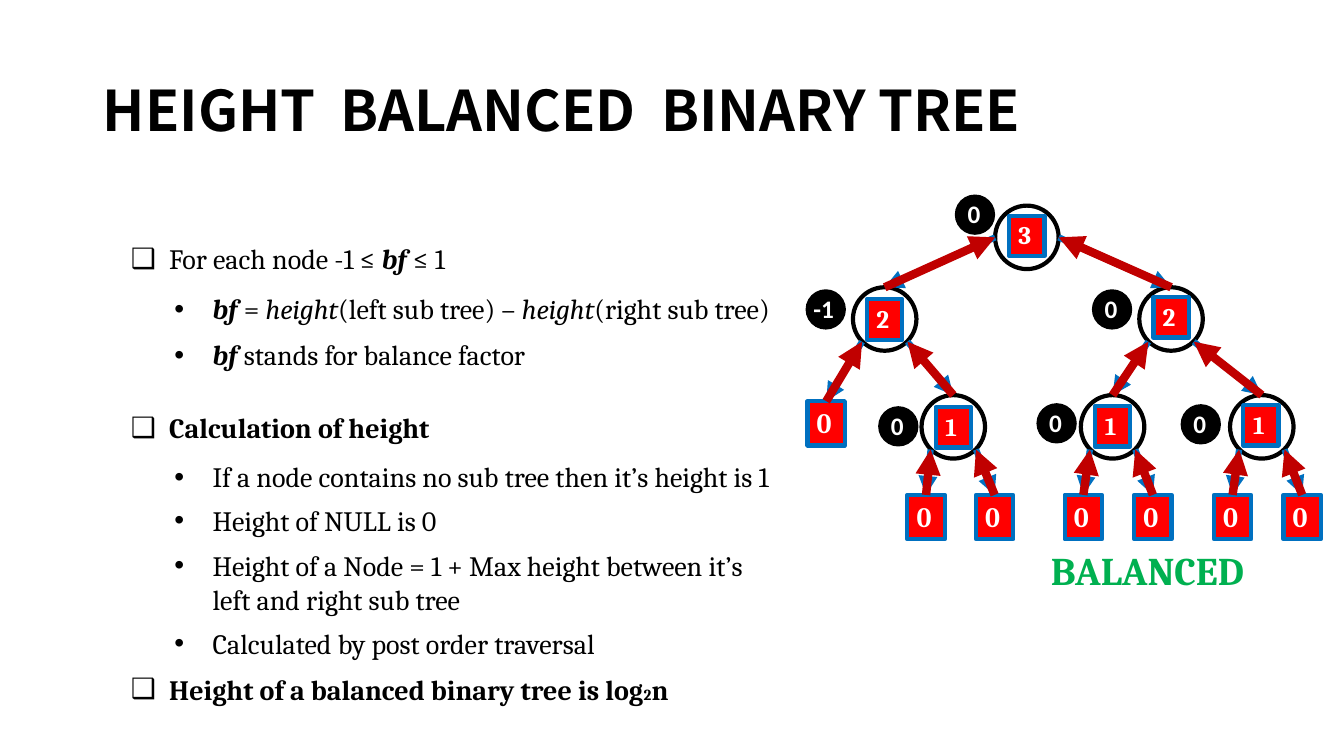
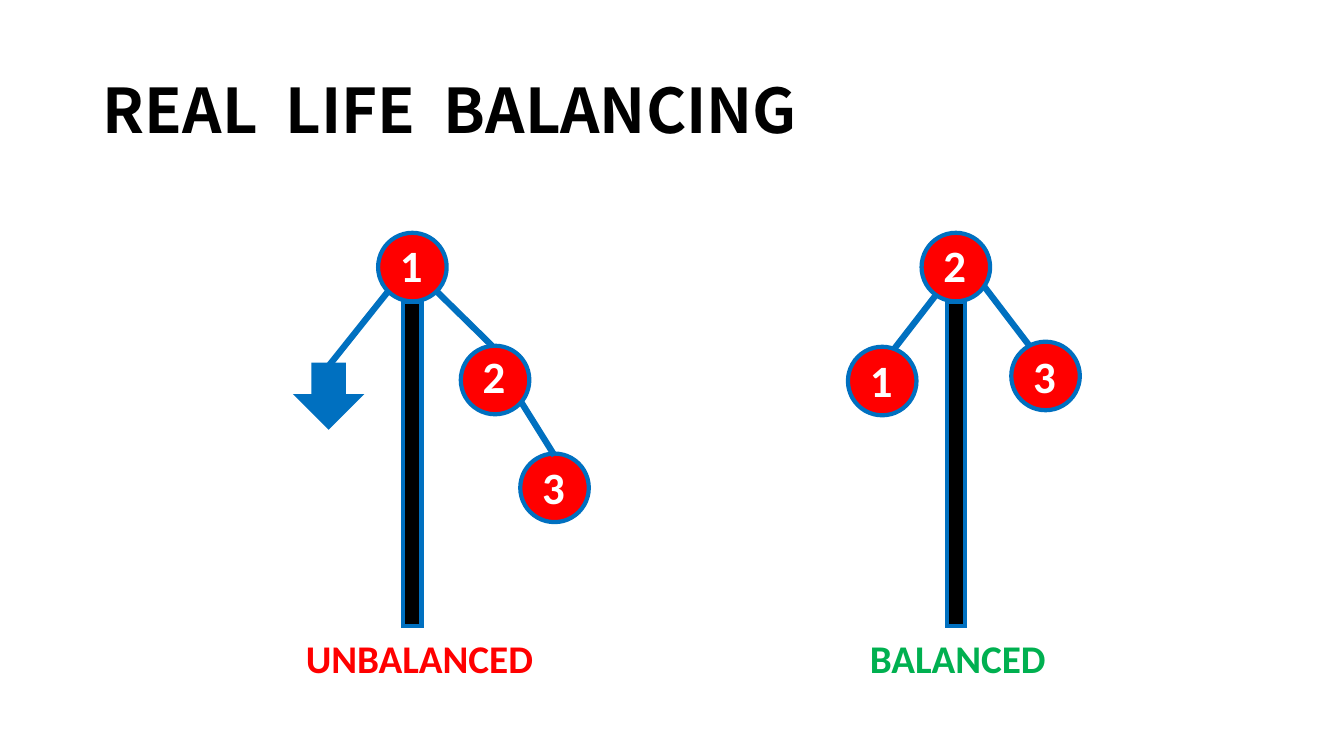
from dataclasses import dataclass

from lxml import etree
from pptx import Presentation
from pptx.dml.color import RGBColor
from pptx.enum.shapes import MSO_CONNECTOR, MSO_SHAPE
from pptx.enum.text import MSO_ANCHOR, PP_ALIGN
from pptx.oxml.ns import qn
from pptx.util import Inches, Pt

STRAIGHT = MSO_CONNECTOR.STRAIGHT
OVAL, RECT, DOWN_ARROW = MSO_SHAPE.OVAL, MSO_SHAPE.RECTANGLE, MSO_SHAPE.DOWN_ARROW
LEFT, CENTER, MIDDLE = PP_ALIGN.LEFT, PP_ALIGN.CENTER, MSO_ANCHOR.MIDDLE
TITLE_ONLY = 5


@dataclass(frozen=True)
class Theme:
    """Colours, fonts and type sizes used by both slides."""
    black: str = "000000"
    white: str = "FFFFFF"
    red: str = "FF0000"
    dark_red: str = "C00000"
    blue: str = "0070C0"
    green: str = "00B050"
    title_font: str = "Noto Sans CJK SC"
    serif: str = "Cambria"
    sans: str = "Calibri"
    body: int = 20
    node: int = 18
    label: int = 28
    weight: int = 32
    subscript: int = 11
    outline: float = 3
    link: float = 4.5
    back_link: float = 6


T = Theme()

BULLETS = [
    (0, 0, [("For each node -1 ≤ ", ""), ("bf", "bi"), (" ≤ 1", "")]),
    (1, 11.8, [("bf", "bi"), (" = ", ""), ("height", "i"), ("(left sub tree) – ", ""),
               ("height", "i"), ("(right sub tree)", "")]),
    (1, 8.7, [("bf", "bi"), (" stands for balance factor", "")]),
    (0, 28.2, [("Calculation of height", "b")]),
    (1, 11, [("If a node contains no sub tree then it’s height is 1", "")]),
    (1, 7, [("Height of NULL is 0", "")]),
    (1, 8.3, [("Height of a Node = 1 + Max height between it’s left and right sub tree", "")]),
    (1, 7.4, [("Calculated by post order traversal", "")]),
    (0, 9, [("Height of a balanced binary tree is log", "b"), ("2", "bs"), ("n", "b")]),
]

NODE, LEAF_W, LEAF_H, LEAF_TOP = 0.63, 0.37, 0.44, 4.91
# name: left, top, height, height box left and top, balance factor, badge left and top
NODES = {
    "root": (9.87, 2.04, "3", 10.01, 2.14, "0", 9.47, 1.93),
    "left": (8.46, 2.85, "2", 8.6, 2.97, "-1", 7.99, 2.87),
    "right": (11.3, 2.85, "2", 11.44, 2.95, "0", 10.83, 2.87),
    "left_right": (9.14, 3.92, "1", 9.28, 4.04, "0", 8.71, 4.03),
    "right_left": (10.72, 3.92, "1", 10.86, 4.03, "0", 10.28, 4.0),
    "right_right": (12.2, 3.92, "1", 12.33, 4.02, "0", 11.71, 4.01),
}
LEAVES = {
    "a": (8.01, 3.98), "b": (9.0, LEAF_TOP), "c": (9.68, LEAF_TOP),
    "d": (10.56, LEAF_TOP), "e": (11.25, LEAF_TOP),
    "f": (12.04, LEAF_TOP), "g": (12.73, LEAF_TOP),
}
CHILDREN = {
    "root": ("left", "right"),
    "left": ("a", "left_right"),
    "right": ("right_left", "right_right"),
    "left_right": ("b", "c"),
    "right_left": ("d", "e"),
    "right_right": ("f", "g"),
}


def add_run(p, text, size, color, font, bold=True, italic=False):
    """Add one formatted run to a paragraph."""
    r = p.add_run()
    r.text = text
    r.font.size, r.font.name = Pt(size), font
    r.font.bold, r.font.italic = bold, italic
    r.font.color.rgb = RGBColor.from_string(color)


def add_slide(prs, title, size):
    """Add a slide with the shared title style."""
    s = prs.slides.add_slide(prs.slide_layouts[TITLE_ONLY])
    sp = s.shapes.title
    sp.left, sp.top, sp.width, sp.height = map(Inches, (0.92, 0.4, 11.5, 1.45))
    tf = sp.text_frame
    tf.vertical_anchor = MIDDLE
    p = tf.paragraphs[0]
    p.alignment, p.line_spacing = LEFT, 0.9
    add_run(p, title, size, T.black, T.title_font)
    return s


def add_figure(s, kind, box, fill=None, line=None, width=T.outline, sharp=False,
               text="", size=T.node, font=T.serif, shift=0.02, lift=0.01):
    """Add a preset shape with optional white text, nudged left and up."""
    sp = s.shapes.add_shape(kind, *map(Inches, box))
    sp.shadow.inherit = False
    if fill:
        sp.fill.solid()
        sp.fill.fore_color.rgb = RGBColor.from_string(fill)
    else:
        sp.fill.background()
    if line:
        sp.line.color.rgb = RGBColor.from_string(line)
        sp.line.width = Pt(width)
    else:
        sp.line.fill.background()
    if sharp:
        etree.SubElement(sp.element.spPr.find(qn("a:ln")), qn("a:miter"), lim="800000")
    if text:
        tf = sp.text_frame
        tf.margin_left = tf.margin_top = 0
        tf.margin_right, tf.margin_bottom = Inches(2 * shift), Inches(2 * lift)
        tf.word_wrap, tf.vertical_anchor = False, MIDDLE
        p = tf.paragraphs[0]
        p.alignment = CENTER
        add_run(p, text, size, T.white, font)


def add_link(s, start, end, color=T.blue, width=T.link, arrow=False):
    """Add a straight line, with an arrowhead at its end if asked."""
    cn = s.shapes.add_connector(STRAIGHT, *map(Inches, start + end))
    cn.line.color.rgb = RGBColor.from_string(color)
    cn.line.width = Pt(width)
    props = cn.element.spPr
    if arrow:
        etree.SubElement(props.find(qn("a:ln")), qn("a:tailEnd"), type="triangle")
    etree.SubElement(props, qn("a:effectLst"))


def add_label(s, center, top, text, color, font):
    """Add a caption centred on a given position."""
    width = 2.6
    sp = s.shapes.add_textbox(*map(Inches, (center - width / 2, top, width, 0.57)))
    tf = sp.text_frame
    tf.word_wrap = True
    p = tf.paragraphs[0]
    p.alignment = CENTER
    add_run(p, text, T.label, color, font)


def add_bullets(s, bullets):
    """Add the two-level bullet list."""
    tf = s.shapes.add_textbox(*map(Inches, (1.2, 2.35, 6.62, 4.72))).text_frame
    tf.word_wrap = True
    for i, (level, before, runs) in enumerate(bullets):
        p = tf.add_paragraph() if i else tf.paragraphs[0]
        p.space_before = Pt(before)
        ppr = p._p.get_or_add_pPr()
        ppr.set("marL", str(Inches(0.38 + 0.43 * level)))
        ppr.set("indent", str(Inches(-0.38)))
        etree.SubElement(ppr, qn("a:buFont"), typeface="Arial")
        etree.SubElement(ppr, qn("a:buChar"), char="❑•"[level])
        for text, style in runs:
            size = T.subscript if "s" in style else T.body
            add_run(p, text, size, T.black, T.serif, "b" in style, "i" in style)


def tree_edges():
    """Return the start and end point of each parent-child edge."""
    edges = []
    for parent, children in CHILDREN.items():
        left, top = NODES[parent][:2]
        inset, drop = (0, NODE / 2) if parent == "root" else (0.09, 0.54)
        for child, x in zip(children, (left + inset, left + NODE - inset)):
            if child in NODES:
                child_left, child_top, width = *NODES[child][:2], NODE
            else:
                child_left, child_top, width = *LEAVES[child], LEAF_W
            edges.append(((x, top + drop), (child_left + width / 2, child_top)))
    return edges


def add_tree(s):
    """Draw the tree with node heights, leaves and balance factors."""
    edges = tree_edges()
    for left, top, *_ in NODES.values():
        add_figure(s, OVAL, (left, top, NODE, NODE), line=T.black)
    for start, end in edges:
        add_link(s, start, end, arrow=True)
    for left, top in LEAVES.values():
        add_figure(s, RECT, (left, top, LEAF_W, LEAF_H), T.red, T.blue,
                   text="0", size=T.body)
    for start, end in edges:
        add_link(s, end, start, T.dark_red, T.back_link, arrow=True)
    for _, _, height, box_left, box_top, factor, badge_left, badge_top in NODES.values():
        add_figure(s, RECT, (box_left, box_top, 0.35, 0.4), T.red, T.blue, text=height)
        add_figure(s, OVAL, (badge_left, badge_top, 0.4, 0.4), T.black,
                   text=factor, font=T.sans, shift=0.01 * len(factor))


def add_scale(s, pole_left, weights, links):
    """Draw a pole with numbered weights and the links between them."""
    add_figure(s, RECT, (pole_left, 2.99, 0.18, 3.22), T.black, T.blue, sharp=True)
    for left, top, number, lift in weights:
        add_figure(s, OVAL, (left, top, 0.68, 0.68), T.red, T.blue, text=number,
                   size=T.weight, font=T.sans, shift=0.01, lift=lift)
    for start, end in links:
        add_link(s, start, end)


def build_tree_slide(prs):
    """Build the slide on height balanced trees."""
    s = add_slide(prs, "HEIGHT  BALANCED  BINARY TREE", 40)
    add_bullets(s, BULLETS)
    add_tree(s)
    add_label(s, 11.38, 5.37, "BALANCED", T.green, T.serif)


def build_scale_slide(prs):
    """Build the slide comparing two hanging scales."""
    s = add_slide(prs, "REAL  LIFE  BALANCING", 44)
    add_scale(s, 4.0, [(3.75, 2.31, "1", 0.03), (4.57, 3.43, "2", 0.04),
                       (5.16, 4.5, "3", 0.01)],
              [((4.33, 2.89), (4.88, 3.43)), ((5.17, 3.99), (5.5, 4.52)),
               ((3.85, 2.89), (3.26, 3.63))])
    add_figure(s, DOWN_ARROW, (2.98, 3.63, 0.56, 0.59), T.blue, T.blue, T.link, sharp=True)
    add_label(s, 4.16, 6.24, "UNBALANCED", T.red, T.sans)
    add_scale(s, 9.39, [(9.14, 2.31, "2", 0.03), (8.41, 3.44, "1", 0.01),
                        (10.03, 3.39, "3", 0)],
              [((9.28, 2.93), (8.87, 3.46)), ((9.76, 2.84), (10.21, 3.43))])
    add_label(s, 9.5, 6.24, "BALANCED", T.green, T.sans)


def main():
    """Build and save the presentation."""
    prs = Presentation()
    prs.slide_width, prs.slide_height = Inches(13.33), Inches(7.5)
    build_tree_slide(prs)
    build_scale_slide(prs)
    prs.save("out.pptx")


if __name__ == "__main__":
    main()
